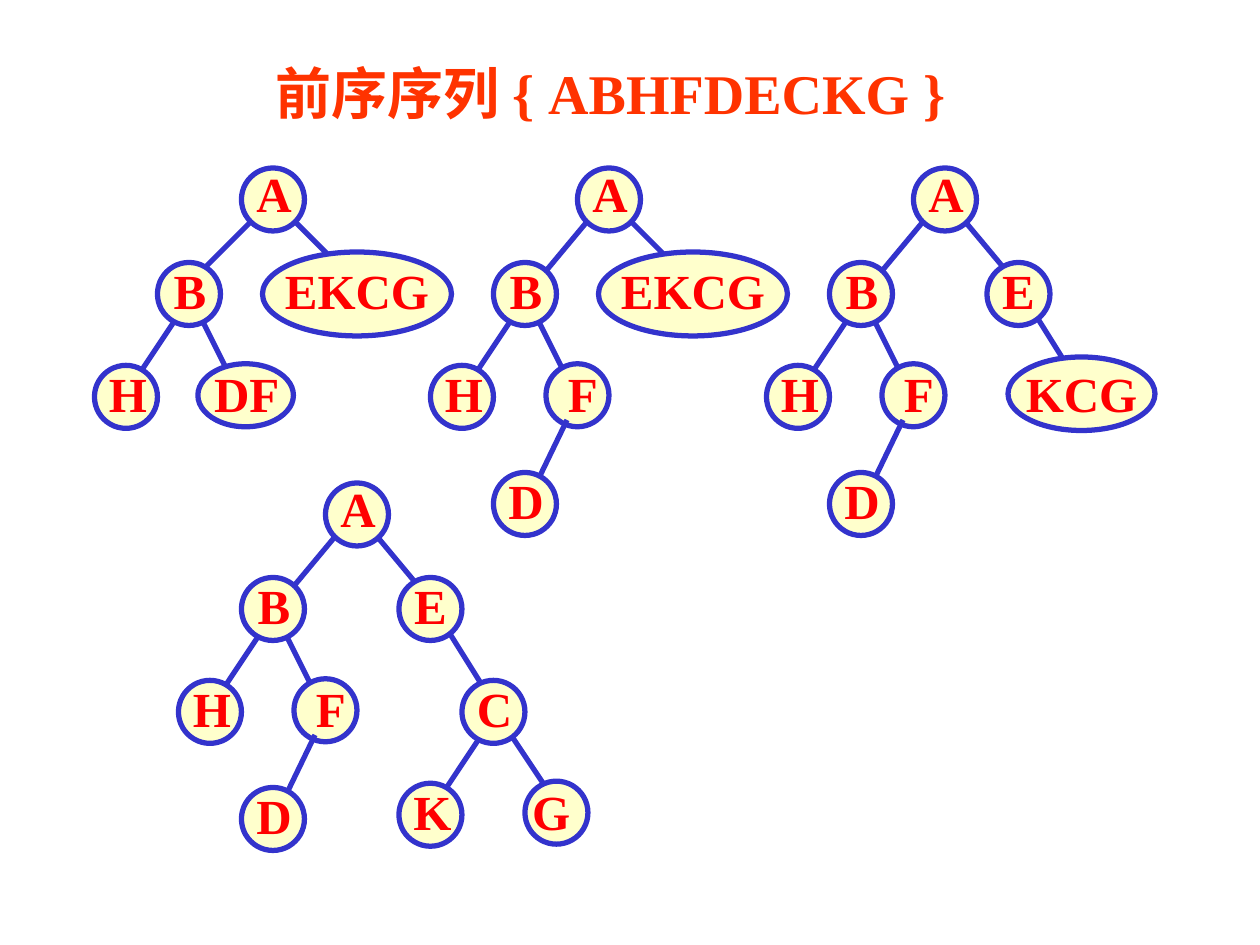
from dataclasses import dataclass

from lxml.etree import SubElement
from pptx import Presentation
from pptx.dml.color import RGBColor
from pptx.enum.shapes import MSO_CONNECTOR as CONN, MSO_SHAPE as SHAPE
from pptx.enum.text import MSO_ANCHOR as ANCHOR, MSO_AUTO_SIZE as AUTO, PP_ALIGN as ALIGN
from pptx.oxml.ns import qn
from pptx.util import Inches, Pt

COLORS = {"title": "FF3300", "label": "FF0000", "edge": "3333CC", "node": "FFFFCC"}
FONT = "Times New Roman"
UNIT = Inches(1) / 12  # grid step: the slide is 120 columns by 90 rows
LABEL_H = 6.84


@dataclass
class Node:
    """Centre and incoming edge in grid steps from the root's centre."""
    x: float
    y: float
    edge: tuple = ()
    w: float = 6
    h: float = 6
    label_w: float = 5.8
    nudge: float = 0.1  # label centre, right of the node's centre
    rise: float = 3.8  # label top, above the node's centre
    wrap: bool = False


NODES = {
    "A": Node(0, 0, rise=4),
    "B": Node(-8, 9, (-2, 2, -7, 8)),
    "E": Node(7, 9, (1, 1, 6, 7), nudge=0),
    "EKCG": Node(8, 9, (2, 2, 8, 8), w=18, h=8, label_w=18, nudge=0),
    "H": Node(-14, 18.8, (-9, 11, -13, 17)),
    "F": Node(-3, 18.65, (-7, 11, -4, 17), label_w=9, nudge=0.5, rise=3.6, wrap=True),
    "DF": Node(-2.6, 18.65, (-7, 11, -4, 17), w=9.1, label_w=9, rise=3.6, wrap=True),
    "C": Node(13, 18.8, (8, 10, 13, 18)),
    "KCG": Node(13, 18.5, (8, 10, 13, 18), w=14, h=7, label_w=14, nudge=0, rise=3.5),
    "D": Node(-8, 29, (-4, 21, -7, 27.2)),
    "K": Node(7, 28.6, (12, 20.8, 8, 26.8)),
    "G": Node(19, 28.4, (14, 20, 18, 26), label_w=9, nudge=-0.5, rise=3.6, wrap=True),
}

# Root column, root row, nodes: one entry per step of the reconstruction
TREES = [
    (26, 19, ["A", "EKCG", "B", "H", "DF"]),
    (58, 19, ["A", "EKCG", "B", "H", "F", "D"]),
    (90, 19, ["A", "E", "B", "H", "F", "D", "KCG"]),
    (34, 49, ["A", "E", "B", "H", "F", "D", "C", "K", "G"]),
]
FIRST_B_EDGE = (-2, 2, -8, 8)  # the first tree's left branch is wider


def grid(*steps):
    return [round(n * UNIT) for n in steps]


def color(name):
    return RGBColor.from_string(COLORS[name])


def add_run(p, text, size, color_name):
    r = p.add_run()
    r.text = text
    r.font.name, r.font.size, r.font.bold = FONT, Pt(size), True
    r.font.color.rgb = color(color_name)


def add_title(s, text):
    sp = s.shapes.title
    sp.left, sp.top, sp.width, sp.height = grid(25, 5, 68, 8)
    tf = sp.text_frame
    tf.auto_size, tf.vertical_anchor = AUTO.NONE, ANCHOR.TOP
    p = tf.paragraphs[0]
    p.alignment = ALIGN.LEFT
    add_run(p, text, 32, "title")


def style_line(line):
    line.color.rgb = color("edge")
    line.width = Pt(3)


def add_edge(s, col, row, edge):
    x1, y1, x2, y2 = edge
    ln = s.shapes.add_connector(
        CONN.STRAIGHT, *grid(col + x1, row + y1, col + x2, row + y2))
    style_line(ln.line)
    SubElement(ln._element.spPr, qn("a:effectLst"))


def add_node(s, col, row, text, node):
    x, y = col + node.x, row + node.y
    sp = s.shapes.add_shape(
        SHAPE.OVAL, *grid(x - node.w / 2, y - node.h / 2, node.w, node.h))
    sp.shadow.inherit = False
    sp.fill.solid()
    sp.fill.fore_color.rgb = color("node")
    style_line(sp.line)

    # Label, slightly above the middle of the node
    tb = s.shapes.add_textbox(*grid(
        x + node.nudge - node.label_w / 2, y - node.rise, node.label_w, LABEL_H))
    tf = tb.text_frame
    tf.word_wrap, tf.vertical_anchor = node.wrap, ANCHOR.MIDDLE
    tf.auto_size = AUTO.SHAPE_TO_FIT_TEXT
    p = tf.paragraphs[0]
    p.alignment = ALIGN.CENTER
    add_run(p, text, 28, "label")


def add_tree(s, col, row, names, edges):
    # Edges lie behind the nodes, except the one to D, which starts on top of F
    for name in names:
        if name in edges and name != "D":
            add_edge(s, col, row, edges[name])
    for name in names:
        if name == "D":
            add_edge(s, col, row, edges[name])
        add_node(s, col, row, name, NODES[name])


def main():
    prs = Presentation()
    prs.slide_width, prs.slide_height = Inches(10), Inches(7.5)
    s = prs.slides.add_slide(prs.slide_layouts[5])
    add_title(s, "前序序列 { ABHFDECKG }")

    edges = {name: node.edge for name, node in NODES.items() if node.edge}
    for i, (col, row, names) in enumerate(TREES):
        tree_edges = edges if i else {**edges, "B": FIRST_B_EDGE}
        add_tree(s, col, row, names, tree_edges)
    prs.save("out.pptx")


if __name__ == "__main__":
    main()
